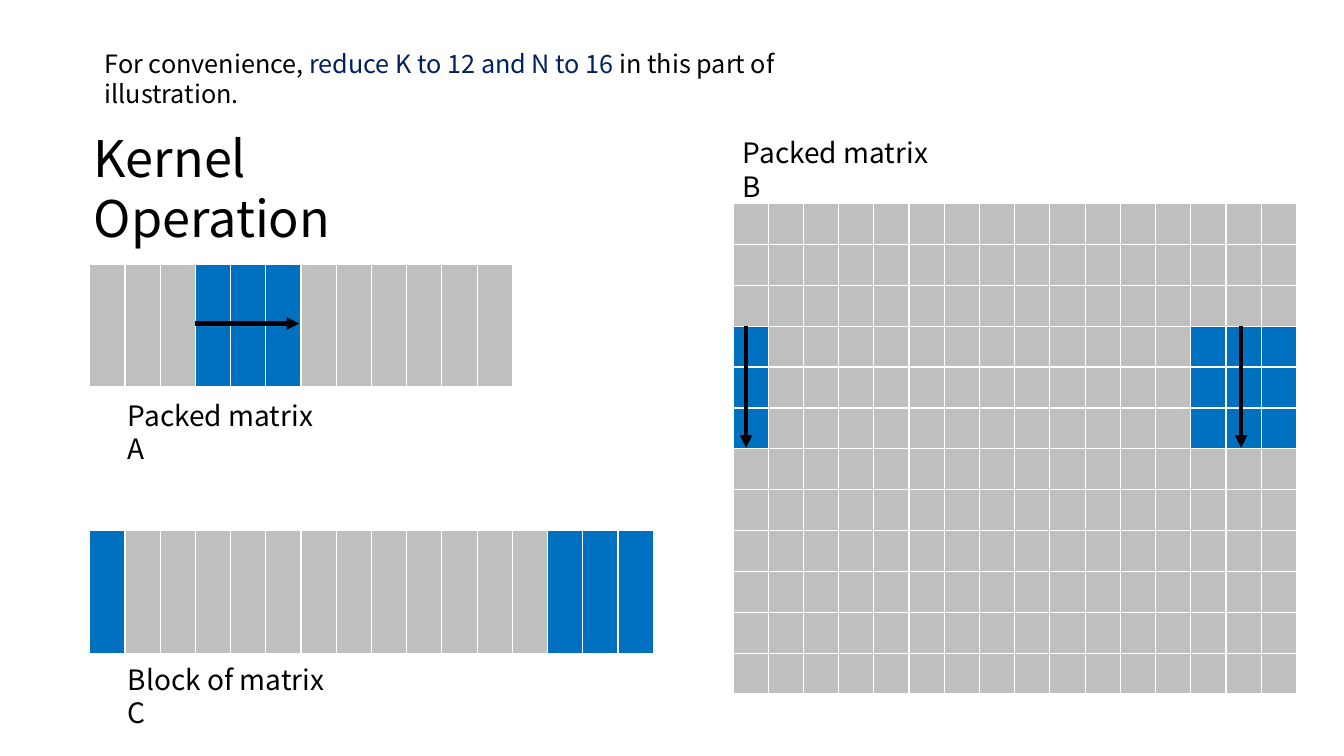
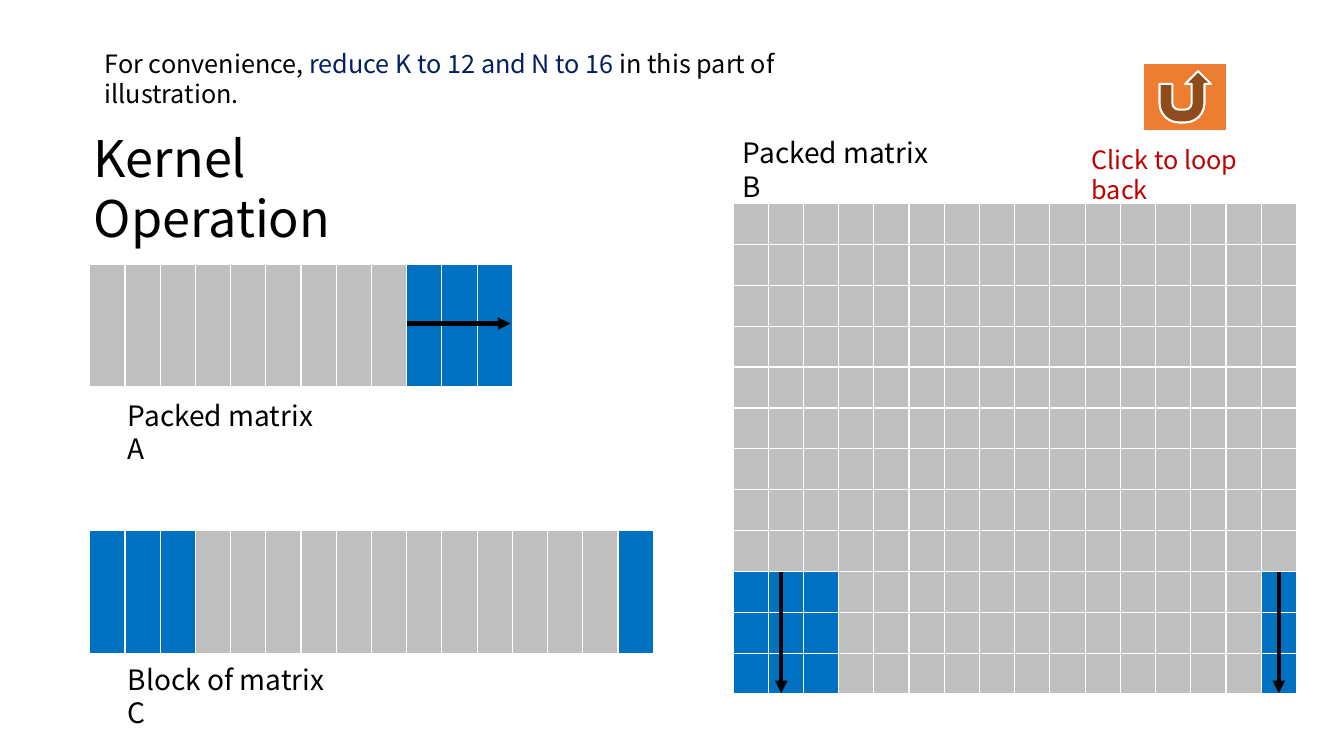
from itertools import product
from lxml.etree import SubElement
from pptx import Presentation
from pptx.dml.color import RGBColor
from pptx.enum.shapes import MSO_CONNECTOR, MSO_SHAPE
from pptx.oxml.ns import qn
from pptx.util import Inches, Pt

WIDE, HIGH = Inches(13.33), Inches(7.5)
FONT = "Noto Sans CJK SC"
BLACK = RGBColor(0x00, 0x00, 0x00)
WHITE = RGBColor(0xFF, 0xFF, 0xFF)
NAVY = RGBColor(0x00, 0x20, 0x60)
RED = RGBColor(0xC0, 0x00, 0x00)
ORANGE = RGBColor(0xED, 0x7D, 0x31)
GREY = RGBColor(0xBF, 0xBF, 0xBF)
BLUE = RGBColor(0x00, 0x70, 0xC0)

# Boxes are left, top, width, height in percent of the slide
COL, ROW = 2.62, 5.41
BOX_A = (6.68, 34.93, 12 * COL, 16.4)
BOX_B = (54.54, 26.93, 16 * COL, 12 * ROW)
BOX_C = (6.68, 70.13, 16 * COL, 16.53)


def scale(*parts):
    """Turn alternating horizontal and vertical percents into lengths."""
    return [round(part * (HIGH if i % 2 else WIDE) / 100)
            for i, part in enumerate(parts)]


def write(slide, box, *runs, size=20, color=BLACK):
    """Add a text box; a run is a string or a (string, colour) pair."""
    frame = slide.shapes.add_textbox(*scale(*box)).text_frame
    frame.word_wrap = True
    para = frame.paragraphs[0]
    para.line_spacing = Pt(1.2 * size)
    for run in runs:
        text, tint = run if isinstance(run, tuple) else (run, color)
        part = para.add_run()
        part.text = text
        part.font.name = FONT
        part.font.size = Pt(size)
        part.font.color.rgb = tint


def edge(cell, base):
    """Draw white cell borders, the bottom one base points wide."""
    props = cell._tc.get_or_add_tcPr()
    for i, (tag, width) in enumerate(
            (("a:lnL", 1), ("a:lnR", 1), ("a:lnT", 1), ("a:lnB", base))):
        line = props.makeelement(qn(tag), {"w": str(Pt(width))})
        fill = SubElement(line, qn("a:solidFill"))
        SubElement(fill, qn("a:srgbClr"), val=str(WHITE))
        props.insert(i, line)


def matrix(slide, box, rows, cols, lit, base=1):
    """Add a table whose cells in lit, a set of (row, column), are blue."""
    table = slide.shapes.add_table(rows, cols, *scale(*box)).table
    table.first_row = table.horz_banding = False
    for r, c in product(range(rows), range(cols)):
        cell = table.cell(r, c)
        cell.margin_top = cell.margin_bottom = 0
        cell.fill.solid()
        cell.fill.fore_color.rgb = BLUE if (r, c) in lit else GREY
        edge(cell, base)


def arrow(slide, start, end):
    link = slide.shapes.add_connector(
        MSO_CONNECTOR.STRAIGHT, *scale(*start, *end))
    link.line.color.rgb = BLACK
    link.line.width = Pt(3)
    SubElement(link.line._get_or_add_ln(), qn("a:tailEnd"), type="triangle")
    SubElement(link._element.spPr, qn("a:effectLst"))


def heading(slide):
    write(slide, (6.23, 16.13, 29.18, 9.47), "Kernel Operation", size=36)
    write(slide, (7.05, 5.73, 58.44, 5.33), "For convenience, ",
          ("reduce K to 12 and N to 16 ", NAVY),
          "in this part of illustration.", size=18)


def part_a(slide, box, step):
    left, top, wide, high = box
    matrix(slide, box, 1, 12, {(0, step + i) for i in range(3)}, base=3)
    start, mid = left + step * COL, top + 0.48 * high
    arrow(slide, (start, mid), (start + 2.95 * COL, mid))
    write(slide, (left + 2.1, top + high + 0.67, 16.05, 5.87),
          "Packed matrix A")


def part_b(slide, box, step, cols, shafts):
    left, top, wide, high = box
    write(slide, (left, top - 9.6, 15.9, 5.87), "Packed matrix B")
    matrix(slide, box, 12, 16, set(product(range(step, step + 3), cols)))
    for shaft in shafts:
        x, y = left + shaft * COL, top + step * ROW
        arrow(slide, (x, y), (x, y + 2.97 * ROW))


def part_c(slide, box, cols):
    left, top, wide, high = box
    matrix(slide, box, 1, 16, set(product([0], cols)), base=3)
    write(slide, (left + 2.1, top + high + 0.27, 16.8, 5.87),
          "Block of matrix C")


def loop(slide, left, top):
    """Add the return button and its caption."""
    icon = slide.shapes.add_shape(
        MSO_SHAPE.ACTION_BUTTON_RETURN, *scale(left, top, 6.23, 9.07))
    icon.shadow.inherit = False
    icon.fill.solid()
    icon.fill.fore_color.rgb = ORANGE
    icon.line.color.rgb = WHITE
    icon.line.width = Pt(1.5)
    write(slide, (left - 4.58, top + 10.13, 15.98, 5.33),
          "Click to loop back", size=18, color=RED)


def kernel(deck, step, cols, shafts):
    """Add a slide for the step at row or column step of K."""
    slide = deck.slides.add_slide(deck.slide_layouts[6])
    heading(slide)
    part_a(slide, BOX_A, step)
    part_c(slide, BOX_C, cols)
    part_b(slide, BOX_B, step, cols, shafts)
    return slide


def main():
    deck = Presentation()
    deck.slide_width, deck.slide_height = WIDE, HIGH
    kernel(deck, 3, (0, 13, 14, 15), (0.37, 14.43))
    last = kernel(deck, 9, (0, 1, 2, 15), (1.37, 15.5))
    loop(last, 85.07, 8.27)
    deck.save("out.pptx")


if __name__ == "__main__":
    main()
